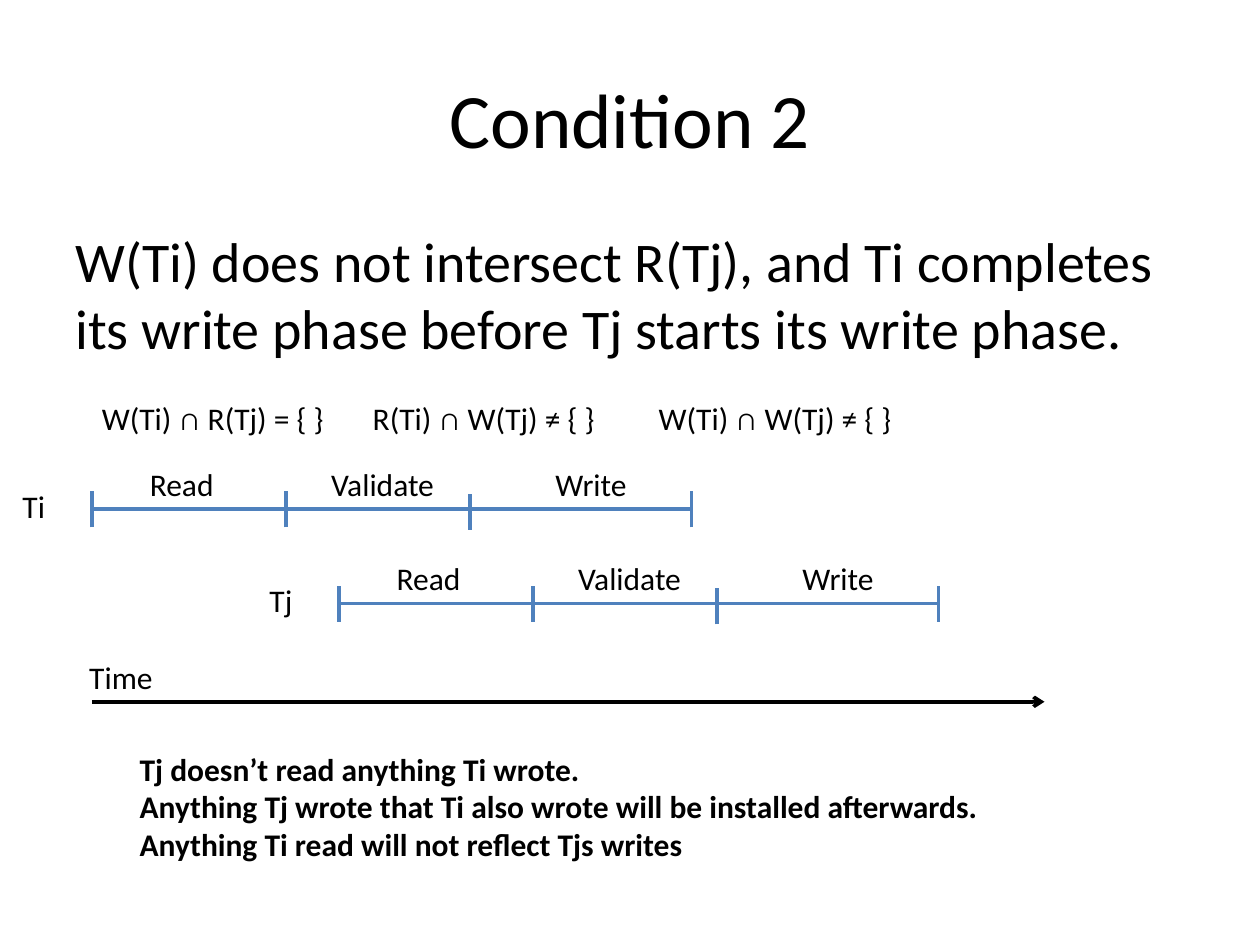
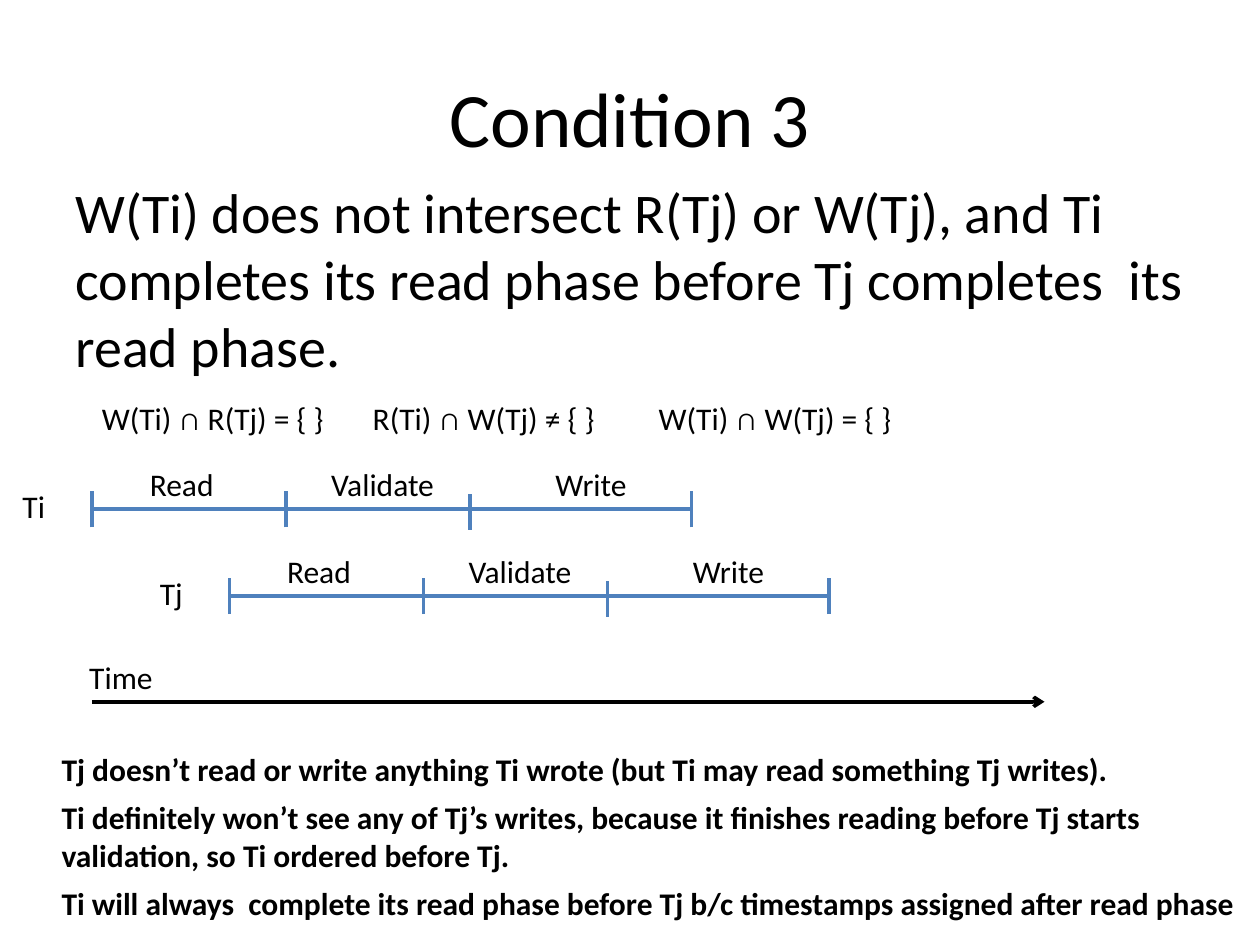
from dataclasses import dataclass

from lxml import etree
from pptx import Presentation
from pptx import util as u
from pptx.dml.color import RGBColor
from pptx.enum import shapes, text
from pptx.oxml.ns import qn


@dataclass(frozen=True)
class Theme:
    """Colours, type sizes and line width shared by all slides."""
    font: str = "Calibri"
    ink: str = "000000"
    phase: str = "4F81BD"
    paper: str = "FFFFFF"
    title: int = 44
    body: int = 32
    label: int = 18
    line: int = 2


class Deck:
    """Draws on the current slide, on a grid of 100 columns by 75 rows."""
    columns, rows = 100, 75
    phases = (("Read", 3.6, 7.1), ("Validate", 18, 12.8), ("Write", 35.8, 12.8))
    ticks = ((0, 0), (15.4, 0), (30, 0.2), (47.6, 0))

    def __init__(self, theme):
        self.theme = theme
        self.prs = Presentation()
        self.prs.slide_width, self.prs.slide_height = u.Inches(10), u.Inches(7.5)
        self.s = None

    def x(self, columns):
        return round(self.prs.slide_width * columns / self.columns)

    def y(self, rows):
        return round(self.prs.slide_height * rows / self.rows)

    def run(self, p, words, size, bold=False):
        r = p.add_run()
        r.text = words
        r.font.name, r.font.size, r.font.bold = self.theme.font, u.Pt(size), bold
        r.font.color.rgb = RGBColor.from_string(self.theme.ink)

    def slide(self, title, top):
        self.s = self.prs.slides.add_slide(self.prs.slide_layouts[5])
        fill = self.s.background.fill
        fill.solid()
        fill.fore_color.rgb = RGBColor.from_string(self.theme.paper)
        sp = self.s.shapes.title
        sp.left, sp.top, sp.width, sp.height = self.x(5), self.y(top), self.x(90), self.y(12.5)
        tf = sp.text_frame
        tf.vertical_anchor = text.MSO_ANCHOR.MIDDLE
        tf.paragraphs[0].alignment = text.PP_ALIGN.CENTER
        self.run(tf.paragraphs[0], title, self.theme.title)

    def text(self, at, lines, size=None, bold=False, after=0, wrap=True, grow=True, parent=None):
        left, top, width, height = at
        sp = (parent or self.s).shapes.add_textbox(
            self.x(left), self.y(top), self.x(width), self.y(height))
        tf = sp.text_frame
        tf.word_wrap = wrap
        tf.auto_size = text.MSO_AUTO_SIZE.SHAPE_TO_FIT_TEXT if grow else text.MSO_AUTO_SIZE.NONE
        for i, words in enumerate(lines):
            p = tf.add_paragraph() if i else tf.paragraphs[0]
            p.space_after = u.Pt(after)
            self.run(p, words, size or self.theme.label, bold)

    def line(self, start, end, color, parent, arrow=False):
        sp = parent.shapes.add_connector(
            shapes.MSO_CONNECTOR.STRAIGHT,
            self.x(start[0]), self.y(start[1]), self.x(end[0]), self.y(end[1]))
        sp.line.color.rgb = RGBColor.from_string(color)
        sp.line.width = u.Pt(self.theme.line)
        properties = sp._element.spPr
        if arrow:
            etree.SubElement(properties.find(qn("a:ln")), qn("a:tailEnd"), type="arrow")
        etree.SubElement(properties, qn("a:effectLst"))

    def transaction(self, name, left, axis):
        group = self.s.shapes.add_group_shape()
        color = self.theme.phase
        self.line((left, axis), (left + self.ticks[-1][0], axis), color, group)
        for dx, dy in self.ticks:
            self.line((left + dx, axis + dy + 1.45), (left + dx, axis + dy - 1.4), color, group)
        for phase, dx, width in self.phases:
            self.text((left + dx, axis - 4, width, 4), [phase], parent=group)
        self.text((left - 6.5, axis - 2.25, 7.1, 4), [name], parent=group)

    def time_axis(self):
        group = self.s.shapes.add_group_shape()
        self.line((7.3, 55.7), (82.9, 55.7), self.theme.ink, group, arrow=True)
        self.text((6.1, 51.7, 33.2, 4), ["Time"], parent=group)

    def condition(self, title, title_top, rule, rule_top, signs, tj, notes, notes_at, after=0):
        self.slide(title, title_top)
        self.text((5, rule_top, 90, 49.5), [rule], self.theme.body, grow=False)
        self.text(notes_at, notes, bold=True, after=after)
        self.transaction("Ti", 7.3, 40.4)
        self.transaction("Tj", *tj)
        self.time_axis()
        sets = (("W(Ti) ∩ R(Tj)", 7.1, 19.8), ("R(Ti) ∩ W(Tj)", 28.6, 19.8),
                ("W(Ti) ∩ W(Tj)", 51.3, 20.7))
        for (pair, left, width), sign in zip(sets, signs):
            self.text((left, 31.2, width, 4), [f"{pair} {sign} {{ }}"], wrap=False)


def main():
    deck = Deck(Theme())
    deck.condition(
        "Condition 2", 3.1,
        "W(Ti) does not intersect R(Tj), and Ti completes its write phase "
        "before Tj starts its write phase.", 17.5,
        "=≠≠", (26.9, 47.9),
        ["Tj doesn’t read anything Ti wrote.",
         "Anything Tj wrote that Ti also wrote will be installed afterwards.",
         "Anything Ti read will not reflect Tjs writes"],
        (10.1, 59, 78.9, 10.1))
    deck.condition(
        "Condition 3", 3,
        "W(Ti) does not intersect R(Tj) or W(Tj), and Ti completes its read phase "
        "before Tj completes  its read phase.", 13.6,
        "=≠=", (18.2, 47.3),
        ["Tj doesn’t read or write anything Ti wrote (but Ti may read something Tj writes).",
         "Ti definitely won’t see any of Tj’s writes, because it finishes reading "
         "before Tj starts validation, so Ti ordered before Tj.",
         "Ti will always  complete its read phase before Tj b/c timestamps "
         "assigned after read phase"],
        (3.9, 59, 97.4, 14.8), after=6)
    deck.prs.save("out.pptx")


if __name__ == "__main__":
    main()
